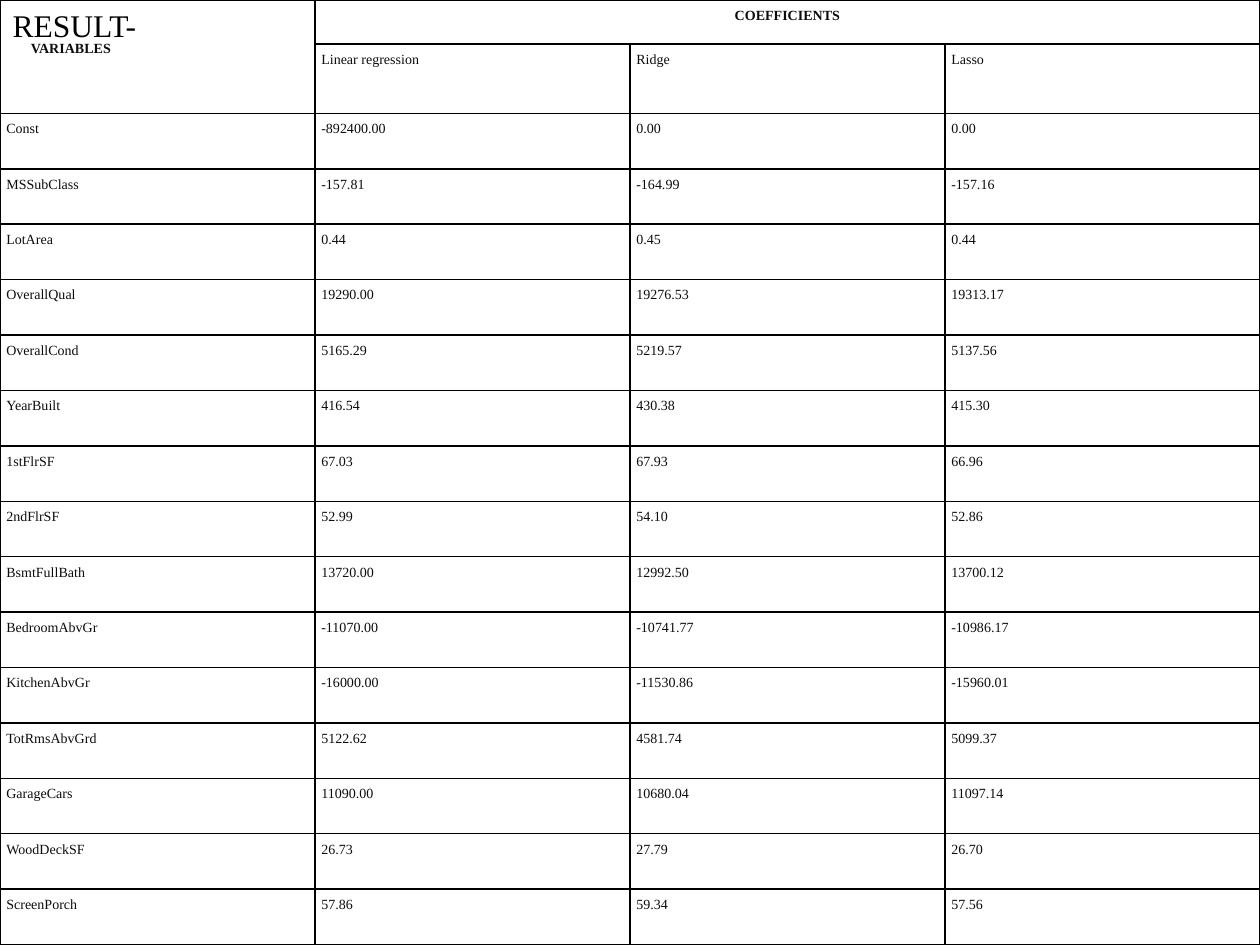
from dataclasses import dataclass

from lxml.etree import SubElement
from pptx import Presentation
from pptx.dml.color import RGBColor
from pptx.enum.text import MSO_ANCHOR, MSO_AUTO_SIZE, PP_ALIGN
from pptx.oxml.ns import qn
from pptx.slide import Slide
from pptx.table import Table, _Cell
from pptx.text.text import _Paragraph
from pptx.util import Pt

FONT = "Times New Roman"
COLORS = {"title": "000000", "text": "0D0D0D", "border": "000000"}
SLIDE_WIDTH, SLIDE_HEIGHT = 720, 540
HEADER_HEIGHTS = [25.2, 39.6]
BORDER_WIDTH = 1
MODELS = ["Linear regression", "Ridge", "Lasso"]


@dataclass(frozen=True)
class Variable:
    name: str
    coefficients: tuple[str, str, str]


VARIABLES = [
    Variable("Const", ("-892400.00", "0.00", "0.00")),
    Variable("MSSubClass", ("-157.81", "-164.99", "-157.16")),
    Variable("LotArea", ("0.44", "0.45", "0.44")),
    Variable("OverallQual", ("19290.00", "19276.53", "19313.17")),
    Variable("OverallCond", ("5165.29", "5219.57", "5137.56")),
    Variable("YearBuilt", ("416.54", "430.38", "415.30")),
    Variable("1stFlrSF", ("67.03", "67.93", "66.96")),
    Variable("2ndFlrSF", ("52.99", "54.10", "52.86")),
    Variable("BsmtFullBath", ("13720.00", "12992.50", "13700.12")),
    Variable("BedroomAbvGr", ("-11070.00", "-10741.77", "-10986.17")),
    Variable("KitchenAbvGr", ("-16000.00", "-11530.86", "-15960.01")),
    Variable("TotRmsAbvGrd", ("5122.62", "4581.74", "5099.37")),
    Variable("GarageCars", ("11090.00", "10680.04", "11097.14")),
    Variable("WoodDeckSF", ("26.73", "27.79", "26.70")),
    Variable("ScreenPorch", ("57.86", "59.34", "57.56")),
]


def add_run(paragraph: _Paragraph, text: str, size: float, color: str,
            bold: bool = False) -> None:
    run = paragraph.add_run()
    run.text = text
    run.font.name = FONT
    run.font.size = Pt(size)
    run.font.bold = bold
    run.font.color.rgb = RGBColor.from_string(COLORS[color])


def format_cell(cell: _Cell) -> None:
    """Give the cell its margins and borders, and no fill."""
    cell.margin_left = cell.margin_right = Pt(3.6)
    cell.margin_top = cell.margin_bottom = Pt(0)
    properties = cell._tc.get_or_add_tcPr()
    for side in ("lnL", "lnR", "lnT", "lnB"):
        line = SubElement(properties, qn(f"a:{side}"), w=str(Pt(BORDER_WIDTH)))
        fill = SubElement(line, qn("a:solidFill"))
        SubElement(fill, qn("a:srgbClr"), val=COLORS["border"])
    cell.fill.background()


def write_cell(cell: _Cell, text: str, bold: bool = False,
               alignment: PP_ALIGN = PP_ALIGN.JUSTIFY, space_after: float = 10) -> None:
    paragraph = cell.text_frame.paragraphs[0]
    paragraph.alignment = alignment
    paragraph.line_spacing = 1.5
    paragraph.space_after = Pt(space_after)
    add_run(paragraph, text, 8, "text", bold)


def add_title(slide: Slide, text: str) -> None:
    title = slide.shapes.title
    title.left, title.top, title.width, title.height = Pt(0), Pt(0), Pt(112.3), Pt(28.8)
    frame = title.text_frame
    frame.word_wrap = True
    frame.auto_size = MSO_AUTO_SIZE.NONE
    frame.vertical_anchor = MSO_ANCHOR.TOP
    frame.margin_left = frame.margin_right = Pt(7.2)
    frame.margin_top = frame.margin_bottom = Pt(3.6)
    paragraph = frame.paragraphs[0]
    paragraph.alignment = PP_ALIGN.LEFT
    paragraph.line_spacing = 1.0
    paragraph.space_before = Pt(0)
    add_run(paragraph, text, 18, "title")


def add_grid(slide: Slide) -> Table:
    row_count = len(HEADER_HEIGHTS) + len(VARIABLES)
    column_count = 1 + len(MODELS)
    table = slide.shapes.add_table(row_count, column_count, Pt(0), Pt(0),
                                   Pt(SLIDE_WIDTH), Pt(SLIDE_HEIGHT)).table
    table.first_row = table.horz_banding = False
    body_height = (SLIDE_HEIGHT - sum(HEADER_HEIGHTS)) / len(VARIABLES)
    heights = HEADER_HEIGHTS + [body_height] * len(VARIABLES)
    for row, height in zip(table.rows, heights):
        row.height = Pt(height)
    for column in table.columns:
        column.width = Pt(SLIDE_WIDTH / column_count)
    for cell in table.iter_cells():
        format_cell(cell)
    return table


def fill_headers(table: Table) -> None:
    corner = table.cell(0, 0)
    corner.merge(table.cell(1, 0))
    corner.margin_left, corner.margin_top = Pt(17.6), Pt(18.9)
    write_cell(corner, "VARIABLES", bold=True)

    heading = table.cell(0, 1)
    heading.merge(table.cell(0, len(MODELS)))
    write_cell(heading, "COEFFICIENTS", bold=True,
               alignment=PP_ALIGN.CENTER, space_after=0)
    for column, model in enumerate(MODELS, start=1):
        write_cell(table.cell(1, column), model)


def fill_coefficients(table: Table) -> None:
    for row, variable in enumerate(VARIABLES, start=len(HEADER_HEIGHTS)):
        for column, text in enumerate((variable.name, *variable.coefficients)):
            write_cell(table.cell(row, column), text)


def main() -> None:
    presentation = Presentation()
    presentation.slide_width = Pt(SLIDE_WIDTH)
    presentation.slide_height = Pt(SLIDE_HEIGHT)
    slide = presentation.slides.add_slide(presentation.slide_layouts[5])
    add_title(slide, "RESULT-")
    table = add_grid(slide)
    fill_headers(table)
    fill_coefficients(table)
    presentation.save("out.pptx")


if __name__ == "__main__":
    main()
